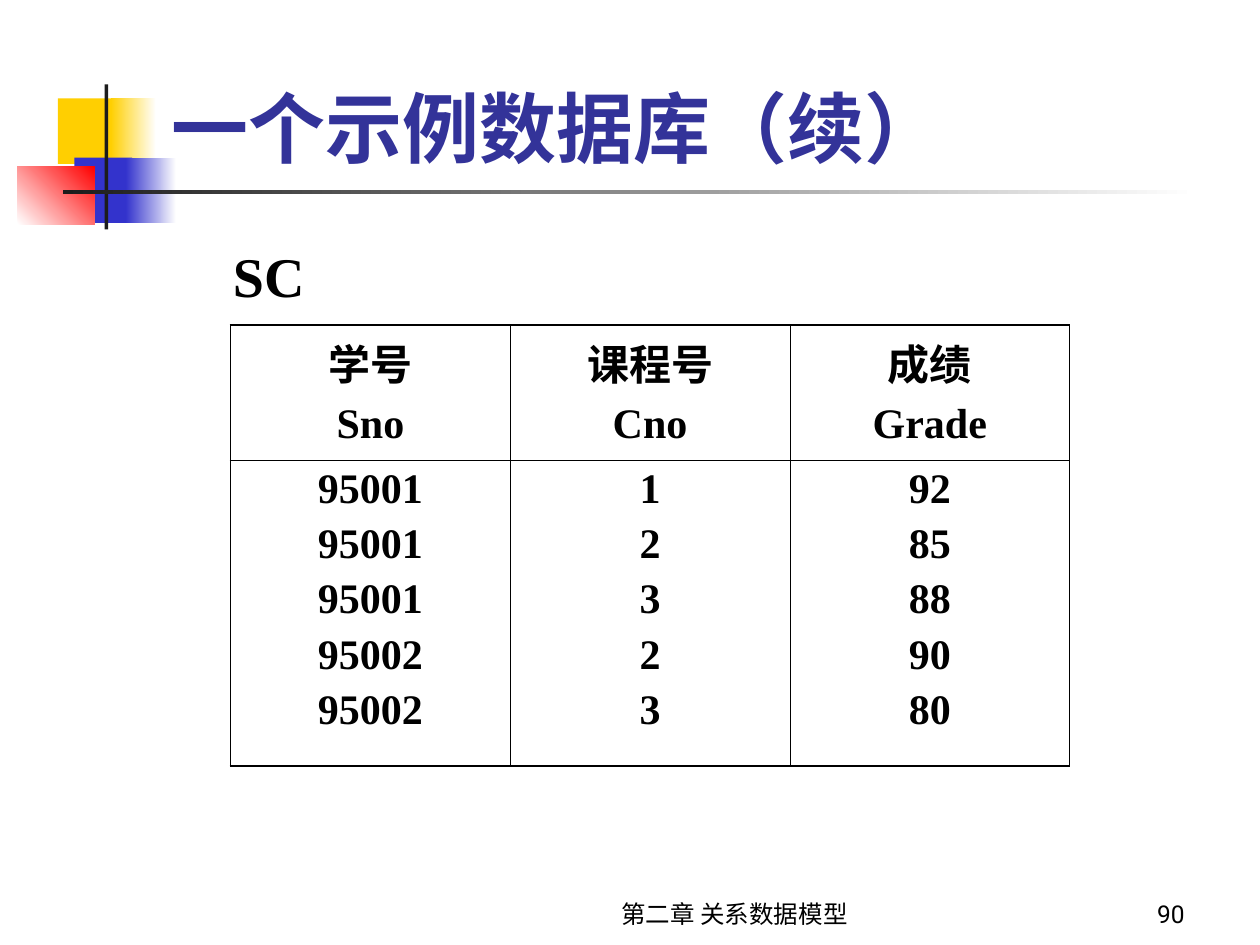
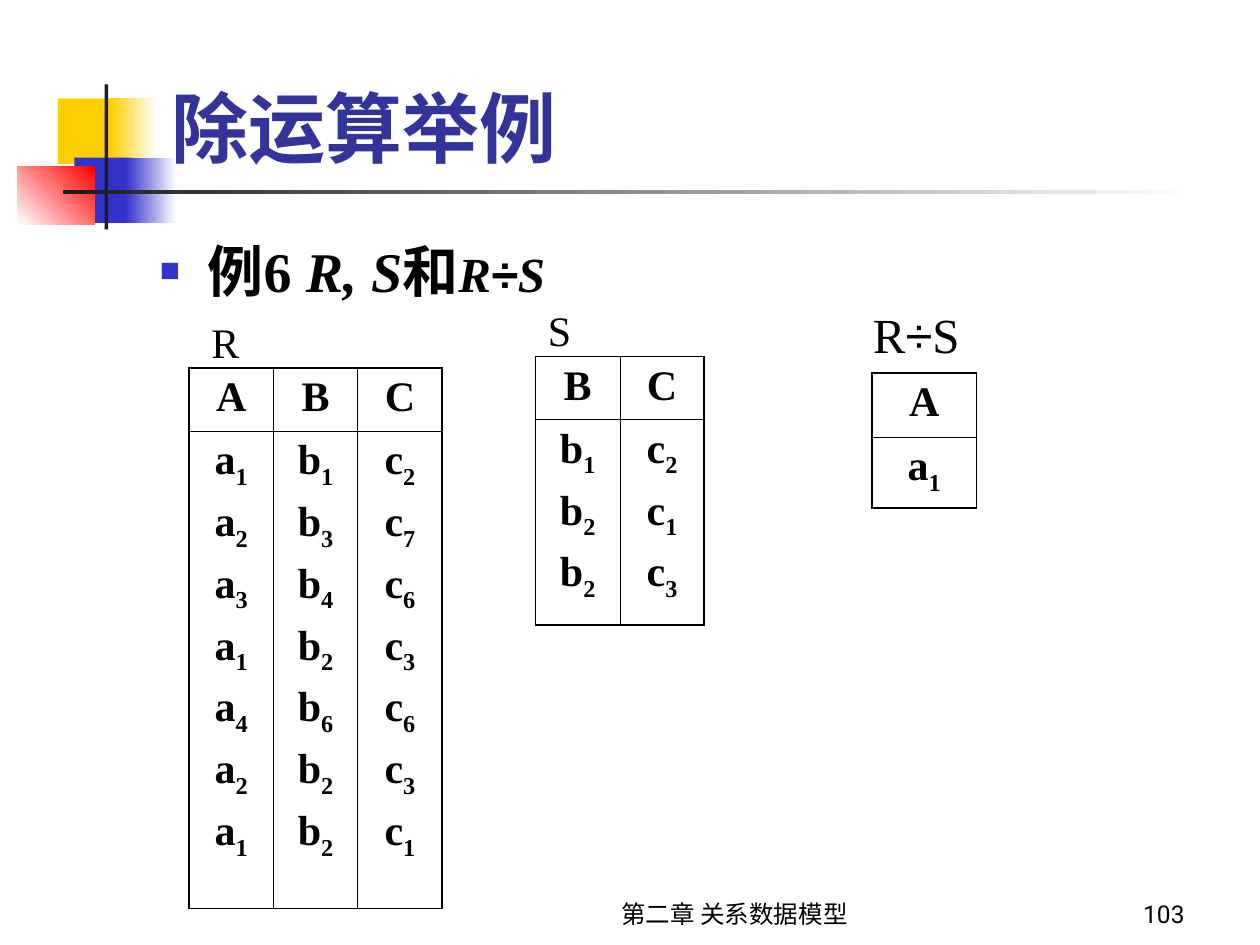
from lxml.etree import SubElement
from pptx import Presentation
from pptx.dml.color import RGBColor
from pptx.enum.lang import MSO_LANGUAGE_ID
from pptx.enum.shapes import MSO_SHAPE
from pptx.enum.text import MSO_ANCHOR, PP_ALIGN
from pptx.oxml.ns import qn
from pptx.util import Inches, Pt

SERIF, SANS, SYMBOL = "Times New Roman", "Roboto", "Arial"
BLACK, WHITE, INK = "000000", "FFFFFF", "1C1C1C"
YELLOW, BLUE, RED, TITLE_BLUE = "FFCF01", "3333CC", "FF0000", "333399"
OUTER_LINE, INNER_LINE = 1.08, 0.45
FOOTER = "第二章 关系数据模型"

DECORATIONS = [
    ((0.46, 0.78, 0.48, 0.52), [YELLOW], 0),
    ((0.88, 0.78, 0.36, 0.52), [YELLOW, WHITE], 0),
    ((0.59, 1.25, 0.46, 0.52), [BLUE], 0),
    ((1, 1.25, 0.4, 0.52), [BLUE, WHITE], 0),
    ((0.14, 1.32, 0.61, 0.46), [WHITE, RED], 45),
    ((0.83, 0.67, 0.03, 1.15), [INK], 0),
    ((0.5, 1.51, 9, 0.03), [INK, WHITE], 0),
]

QUOTIENT = [("R", {}), ("÷", {"name": SYMBOL}), ("S", {})]

SLIDES = [
    {
        "title": "一个示例数据库（续）",
        "number": "90",
        "labels": [((1.75, 1.83, 2.08, 0.64), [("SC", {"bold": True})], 32)],
        "tables": [
            {
                "corner": (1.83, 2.58), "column": 2.22, "rows": (1.07, 2.43),
                "heads": ["学号 Sno", "课程号 Cno", "成绩 Grade"],
                "columns": ["95001 95001 95001 95002 95002", "1 2 3 2 3", "92 85 88 90 80"],
            },
        ],
    },
    {
        "title": "除运算举例",
        "number": "103",
        "bullet": [
            ("例6 ", {}),
            ("R, S", {"italic": True}),
            ("和", {}),
            ("R", {"italic": True, "size": 28}),
            ("÷", {"italic": True, "size": 28, "name": SYMBOL}),
            ("S", {"italic": True, "size": 28}),
        ],
        "labels": [
            ((1.58, 2.42, 0.5, 0.5), [("R", {})], 24),
            ((4.25, 2.33, 0.67, 0.5), [("S", {})], 24),
            ((6.83, 2.33, 1.33, 0.57), QUOTIENT, 28),
        ],
        "tables": [
            {
                "corner": (1.5, 2.92), "column": 0.67, "rows": (0.5, 3.79),
                "heads": ["A", "B", "C"],
                "columns": [
                    "a_1 a_2 a_3 a_1 a_4 a_2 a_1",
                    "b_1 b_3 b_4 b_2 b_6 b_2 b_2",
                    "c_2 c_7 c_6 c_3 c_6 c_3 c_1",
                ],
            },
            {
                "corner": (4.25, 2.83), "column": 0.67, "rows": (0.5, 1.63),
                "heads": ["B", "C"],
                "columns": ["b_1 b_2 b_2", "c_2 c_1 c_3"],
            },
            {
                "corner": (6.92, 2.96), "column": 0.83, "rows": (0.51, 0.56),
                "heads": ["A"],
                "columns": ["a_1"],
            },
        ],
    },
]


def color(value):
    return RGBColor.from_string(value)


def add_run(paragraph, text, size, name=SERIF, fill=BLACK, bold=False, italic=False):
    run = paragraph.add_run()
    run.text = text
    font = run.font
    font.size, font.name, font.bold, font.italic = Pt(size), name, bold, italic
    font.color.rgb = color(fill)
    font.language_id = MSO_LANGUAGE_ID.SIMPLIFIED_CHINESE
    return run


def add_text(slide, box, runs, style, align=PP_ALIGN.LEFT, anchor=MSO_ANCHOR.TOP):
    shape = slide.shapes.add_textbox(*map(Inches, box))
    frame = shape.text_frame
    frame.word_wrap = True
    frame.vertical_anchor = anchor
    paragraph = frame.paragraphs[0]
    paragraph.alignment = align
    for text, changes in runs:
        add_run(paragraph, text, **{**style, **changes})
    return shape


def add_bullet(slide, runs):
    shape = add_text(slide, (1.17, 1.83, 8.5, 0.67), runs, {"size": 32, "bold": True})
    properties = shape.text_frame.paragraphs[0]._p.get_or_add_pPr()
    properties.set("marL", str(Inches(0.38)))
    properties.set("indent", str(Inches(-0.38)))
    bullet_color = SubElement(properties, qn("a:buClr"))
    SubElement(bullet_color, qn("a:srgbClr"), val=BLUE)
    SubElement(properties, qn("a:buSzPct"), val="60000")
    SubElement(properties, qn("a:buFont"), typeface=SYMBOL)
    SubElement(properties, qn("a:buChar"), char="■")


def add_decorations(slide):
    for box, colors, angle in DECORATIONS:
        shape = slide.shapes.add_shape(MSO_SHAPE.RECTANGLE, *map(Inches, box))
        shape.shadow.inherit = False
        shape.line.fill.background()
        if len(colors) == 1:
            shape.fill.solid()
            shape.fill.fore_color.rgb = color(colors[0])
            continue
        shape.fill.gradient()
        shape.fill.gradient_angle = angle
        for stop, value in zip(shape.fill.gradient_stops, colors):
            stop.color.rgb = color(value)


def set_borders(cell, outer_sides):
    properties = cell._tc.get_or_add_tcPr()
    for side in "LRTB":
        width = OUTER_LINE if side in outer_sides else INNER_LINE
        line = SubElement(properties, qn(f"a:ln{side}"), w=str(Pt(width)))
        SubElement(SubElement(line, qn("a:solidFill")), qn("a:srgbClr"), val=BLACK)
    cell.fill.background()


def fill_cell(cell, lines):
    frame = cell.text_frame
    for index, line in enumerate(lines):
        paragraph = frame.add_paragraph() if index else frame.paragraphs[0]
        paragraph.alignment = PP_ALIGN.CENTER
        if index:
            paragraph.space_before = Pt(5)
        base, _, subscript = line.partition("_")
        add_run(paragraph, base, 24, bold=True)
        if subscript:
            run = add_run(paragraph, subscript, 24, bold=True)
            run._r.get_or_add_rPr().set("baseline", "-25000")


def add_relation(slide, relation):
    count = len(relation["heads"])
    size = (relation["column"] * count, sum(relation["rows"]))
    frame = slide.shapes.add_table(2, count, *map(Inches, relation["corner"] + size))
    table = frame.table
    table.first_row = table.horz_banding = False
    for row, height in zip(table.rows, relation["rows"]):
        row.height = Inches(height)
    for index, column in enumerate(table.columns):
        column.width = Inches(relation["column"])
        sides = ("L" if index == 0 else "") + ("R" if index == count - 1 else "")
        for row, (part, edge) in enumerate((("heads", "T"), ("columns", "B"))):
            cell = table.cell(row, index)
            set_borders(cell, sides + edge)
            fill_cell(cell, relation[part][index].split())


def add_frame(slide, title, number):
    add_decorations(slide)
    footer_style = {"size": 14, "name": SANS}
    bottom = MSO_ANCHOR.BOTTOM
    add_text(slide, (3.83, 6.92, 4, 0.5), [(FOOTER, {})], footer_style, PP_ALIGN.CENTER, bottom)
    add_text(slide, (8.25, 6.92, 1.25, 0.5), [(number, {})], footer_style, PP_ALIGN.RIGHT, bottom)
    title_style = {"size": 44, "fill": TITLE_BLUE, "bold": True}
    add_text(slide, (1.26, 0.42, 8.52, 1), [(title, {})], title_style, anchor=bottom)


def main():
    presentation = Presentation()
    presentation.slide_width, presentation.slide_height = Inches(10), Inches(7.5)
    for content in SLIDES:
        slide = presentation.slides.add_slide(presentation.slide_layouts[6])
        add_frame(slide, content["title"], content["number"])
        if "bullet" in content:
            add_bullet(slide, content["bullet"])
        for relation in content["tables"]:
            add_relation(slide, relation)
        for box, runs, size in content["labels"]:
            label = add_text(slide, box, runs, {"size": size})
            label.text_frame.margin_top = Inches(0.09)
    presentation.save("out.pptx")


if __name__ == "__main__":
    main()
